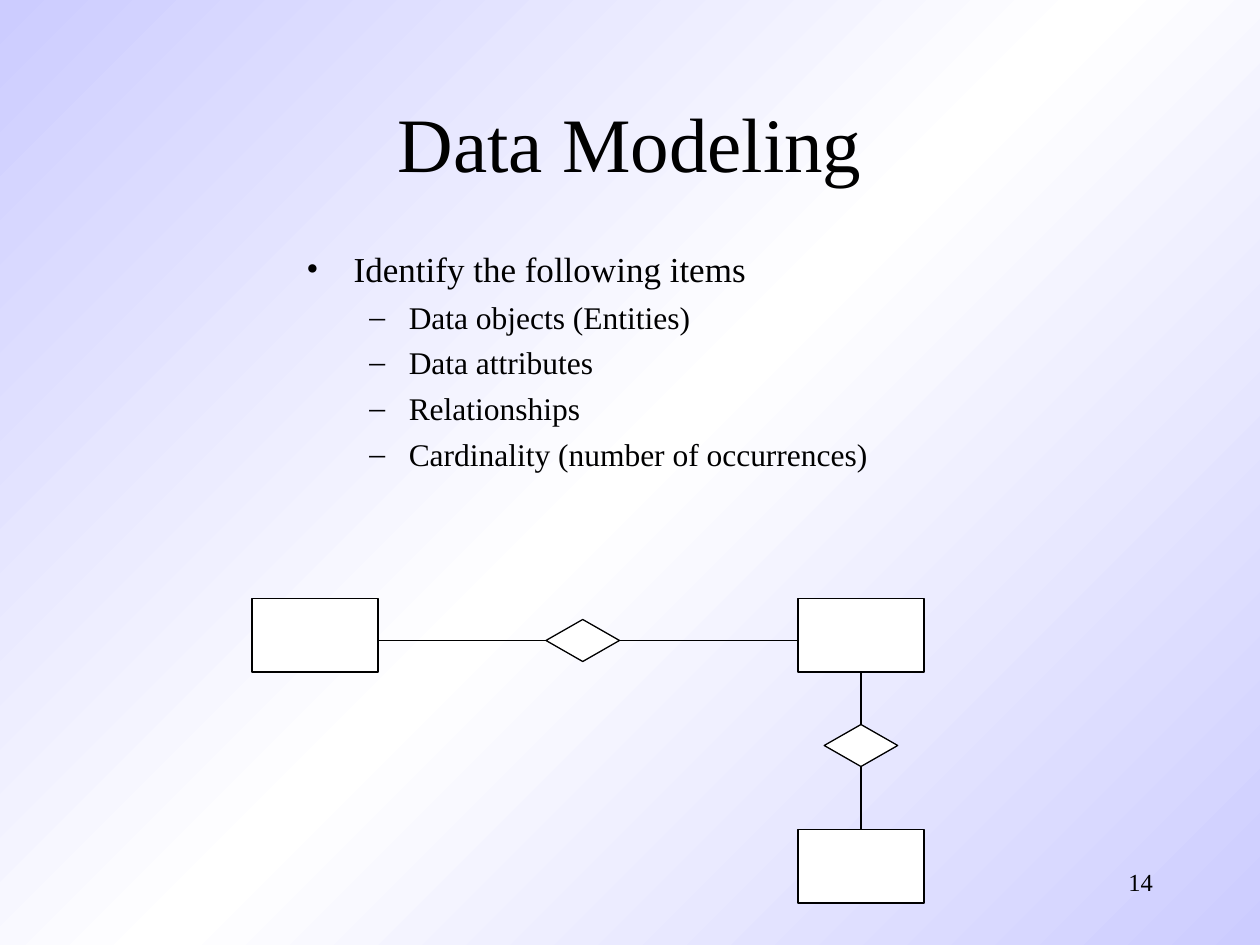
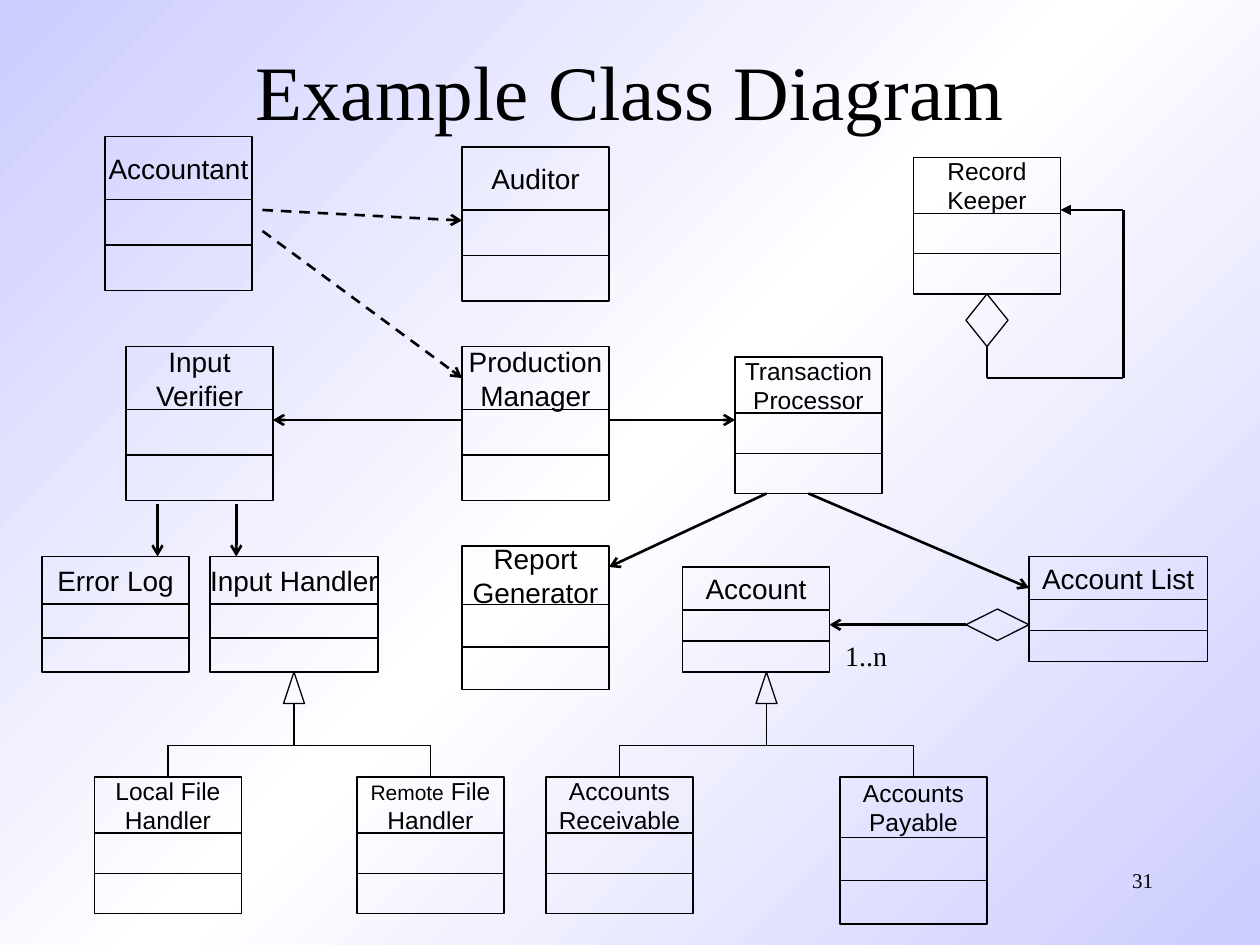
from copy import deepcopy

from lxml.etree import SubElement
from pptx import Presentation
from pptx.dml.color import RGBColor
from pptx.enum.dml import MSO_LINE as Dash
from pptx.enum.shapes import MSO_CONNECTOR as Link, MSO_SHAPE as Kind
from pptx.enum.text import MSO_ANCHOR as Anchor, MSO_AUTO_SIZE as Fit, PP_ALIGN as Align
from pptx.oxml.ns import qn
from pptx.util import Pt

BLACK = RGBColor(0, 0, 0)
WHITE = RGBColor(255, 255, 255)
LILAC = RGBColor(0xCC, 0xCC, 0xFF)
SERIF, SANS = "Times New Roman", "Arial"
THIN, THICK = 0.75, 1.5
HEAD_PART = 0.41  # share of a class box taken by its name


class Deck:
    def __init__(self):
        self.prs = Presentation()
        self.prs.slide_width, self.prs.slide_height = Pt(720), Pt(540)
        self.slide = None
        self.paint()

    def paint(self):
        """Put the diagonal gradient on the master."""
        master = self.prs.slide_master
        fill = master.background.fill
        fill.gradient()
        fill.gradient_angle = 315
        stops = master.element.find(".//" + qn("p:bg")).find(".//" + qn("a:gsLst"))
        stops.append(deepcopy(stops[0]))
        for stop, color, place in zip(fill.gradient_stops, (LILAC, WHITE, LILAC), (0, 0.5, 1)):
            stop.color.rgb = color
            stop.position = place

    def start(self, title, top, number, size):
        """Add a slide with its title and page number."""
        self.slide = self.prs.slides.add_slide(self.prs.slide_layouts[5])
        head = self.slide.shapes.title
        head.left, head.top, head.width, head.height = Pt(54), Pt(top), Pt(612), Pt(90)
        frame = head.text_frame
        frame.text = title
        frame.auto_size = Fit.NONE
        frame.vertical_anchor = Anchor.MIDDLE
        self.style(frame, 44)
        self.text(number, 516, 492, 150, 36, size, Align.RIGHT)

    def font(self, run, size, face=SERIF):
        run.font.size, run.font.name = Pt(size), face
        run.font.color.rgb = BLACK

    def style(self, frame, size, face=SERIF, align=Align.CENTER):
        for para in frame.paragraphs:
            para.alignment = align
            for run in para.runs:
                self.font(run, size, face)

    def text(self, words, x, y, w, h, size, align=Align.LEFT, wrap=True):
        box = self.slide.shapes.add_textbox(Pt(x), Pt(y), Pt(w), Pt(h))
        frame = box.text_frame
        frame.word_wrap = wrap
        frame.auto_size = Fit.NONE if wrap else Fit.SHAPE_TO_FIT_TEXT
        frame.text = words
        self.style(frame, size, align=align)
        return frame

    def bullet(self, para, mark, left, hang, space):
        para.space_before = Pt(space)
        props = para._p.get_or_add_pPr()
        props.set("marL", str(Pt(left)))
        props.set("indent", str(-Pt(hang)))
        SubElement(props, qn("a:buFont"), typeface=SERIF)
        SubElement(props, qn("a:buChar"), char=mark)

    def shape(self, kind, x, y, w, h, fill=None, group=None):
        home = (group or self.slide).shapes
        item = home.add_shape(kind, Pt(x), Pt(y), Pt(w), Pt(h))
        item.shadow.inherit = False
        if fill is None:
            item.fill.background()
        else:
            item.fill.solid()
            item.fill.fore_color.rgb = fill
        item.line.color.rgb = BLACK
        item.line.width = Pt(THIN)
        return item

    def line(self, x1, y1, x2, y2, width=THIN, tip=None, dash=False):
        link = self.slide.shapes.add_connector(Link.STRAIGHT, Pt(x1), Pt(y1), Pt(x2), Pt(y2))
        link.line.color.rgb = BLACK
        link.line.width = Pt(width)
        if dash:
            link.line.dash_style = Dash.DASH
        props = link._element.spPr
        if tip:
            SubElement(props.find(qn("a:ln")), qn("a:tailEnd"), type=tip)
        SubElement(props, qn("a:effectLst"))

    def arrow(self, x1, y1, x2, y2, dash=False):
        self.line(x1, y1, x2, y2, THICK, "arrow", dash)

    def entry(self, name, x, y, w, h, size):
        """Draw a class: its name over two empty rows."""
        group = self.slide.shapes.add_group_shape()
        top = HEAD_PART * h
        row = (h - top) / 2
        head = self.shape(Kind.RECTANGLE, x, y, w, top, group=group)
        for i in range(2):
            self.shape(Kind.RECTANGLE, x, y + top + i * row, w, row, group=group)
        frame = head.text_frame
        frame.word_wrap = False
        frame.vertical_anchor = Anchor.MIDDLE
        frame.text = name
        self.style(frame, size, SANS)
        return frame

    def tree(self, mid, left, right):
        """Join two child classes to the parent above them."""
        self.shape(Kind.ISOSCELES_TRIANGLE, mid - 6, 384, 12, 18)
        self.line(mid, 402, mid, 426)
        self.line(left, 426, right, 426)
        for x in (left, right):
            self.line(x, 426, x, 444)


def model(deck):
    deck.start("Data Modeling", 36, "14", 14)

    # Bullets
    items = ["Identify the following items", "Data objects (Entities)", "Data attributes",
             "Relationships", "Cardinality (number of occurrences)"]
    frame = deck.text("\n".join(items), 168, 138, 462, 228, 18)
    first, *rest = frame.paragraphs
    deck.font(first.runs[0], 20)
    deck.bullet(first, "•", 27, 27, 5)
    for para in rest:
        para.level = 1
        deck.bullet(para, "–", 58.5, 22.5, 4.5)

    # Entities and links
    for x, y in ((144, 342), (456, 342), (456, 474)):
        deck.shape(Kind.RECTANGLE, x, y, 72, 42, WHITE)
    for x, y in ((312, 354), (471, 414)):
        deck.shape(Kind.DIAMOND, x, y, 42, 24, WHITE)
    for ends in ((216, 366, 312, 366), (354, 366, 456, 366),
                 (492, 384, 492, 414), (492, 438, 492, 474)):
        deck.line(*ends)


def classes(deck):
    deck.start("Example Class Diagram", 6, "31", 12)

    # Classes: name, left, top, width, height, text size
    for spec in (
        ("Accountant", 60, 78, 84, 88, 16),
        ("Auditor", 264, 84, 84, 88, 16),
        ("Record\nKeeper", 522, 90, 84, 78, 14),
        ("Input\vVerifier", 72, 198, 84, 88, 16),
        ("Production\nManager", 264, 198, 84, 88, 16),
        ("Transaction\nProcessor", 420, 204, 84, 78, 14),
        ("Error Log", 24, 318, 84, 66, 16),
        ("Input Handler", 120, 318, 96, 66, 16),
        ("Report\nGenerator", 264, 312, 84, 82, 16),
        ("Account", 390, 324, 84, 60, 16),
        ("Account List", 588, 318, 102, 60, 16),
        ("Local File\nHandler", 54, 444, 84, 78, 14),
        ("Accounts\nReceivable", 312, 444, 84, 78, 14),
        ("Accounts\nPayable", 480, 444, 84, 84, 14),
    ):
        deck.entry(*spec)

    # Class whose first word is smaller
    para = deck.entry("Remote\nHandler", 204, 444, 84, 78, 14).paragraphs[0]
    deck.font(para.runs[0], 12, SANS)
    end = para.add_run()
    end.text = " File"
    deck.font(end, 14, SANS)

    # Uses
    deck.arrow(150, 120, 264, 126, dash=True)
    deck.arrow(150, 132, 264, 216, dash=True)
    for ends in ((348, 240, 420, 240), (264, 240, 156, 240),
                 (90, 288, 90, 318), (135, 288, 135, 318),
                 (438, 282, 348, 324), (462, 282, 588, 336),
                 (552, 357, 474, 357)):
        deck.arrow(*ends)

    # Child classes
    deck.tree(168, 96, 246)
    deck.tree(438, 354, 522)

    # Whole and part
    deck.shape(Kind.DIAMOND, 552, 348, 36, 18)
    deck.text("1..n", 473, 361.5, 44, 26.5, 16, Align.CENTER, wrap=False)
    deck.shape(Kind.DIAMOND, 552, 168, 24, 30)
    deck.line(564, 198, 564, 216, THICK)
    deck.line(564, 216, 642, 216, THICK)
    deck.line(642, 216, 642, 120, THICK)
    deck.line(642, 120, 606, 120, THICK, "triangle")


def main():
    deck = Deck()
    model(deck)
    classes(deck)
    deck.prs.save("out.pptx")


if __name__ == "__main__":
    main()
